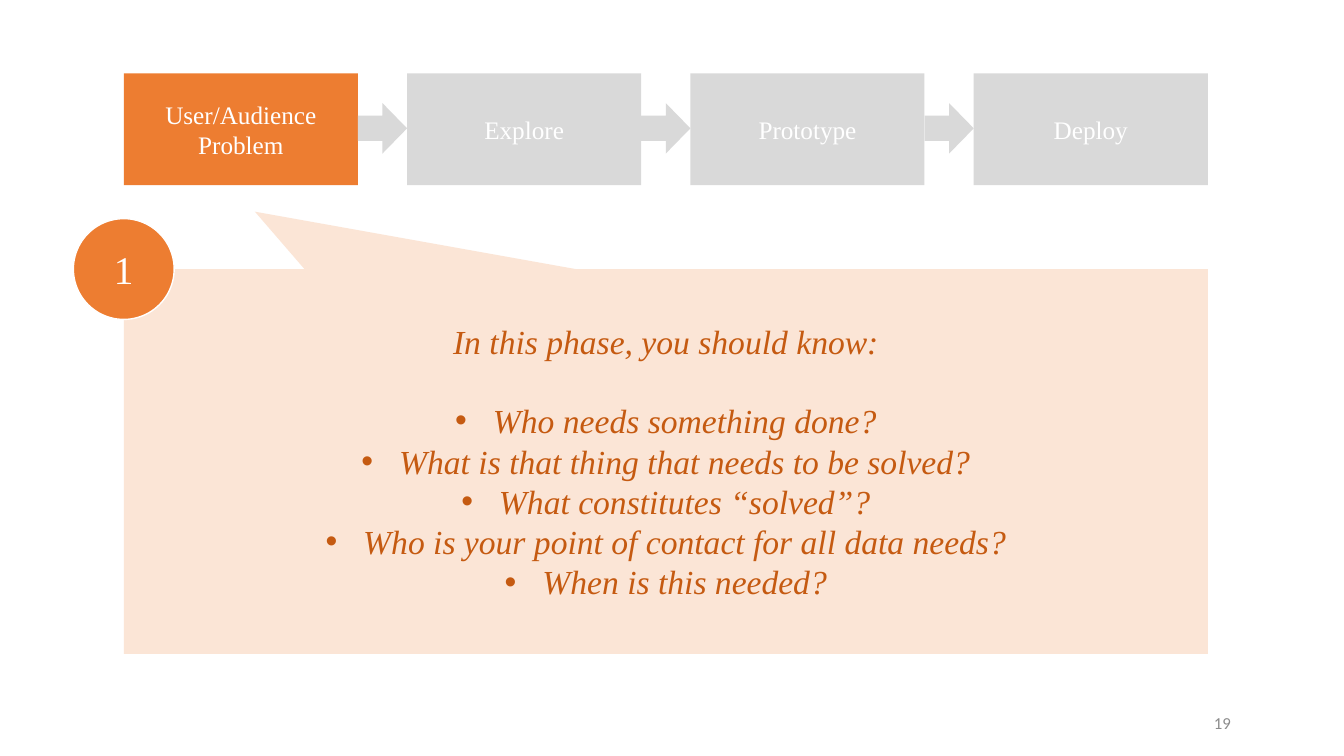
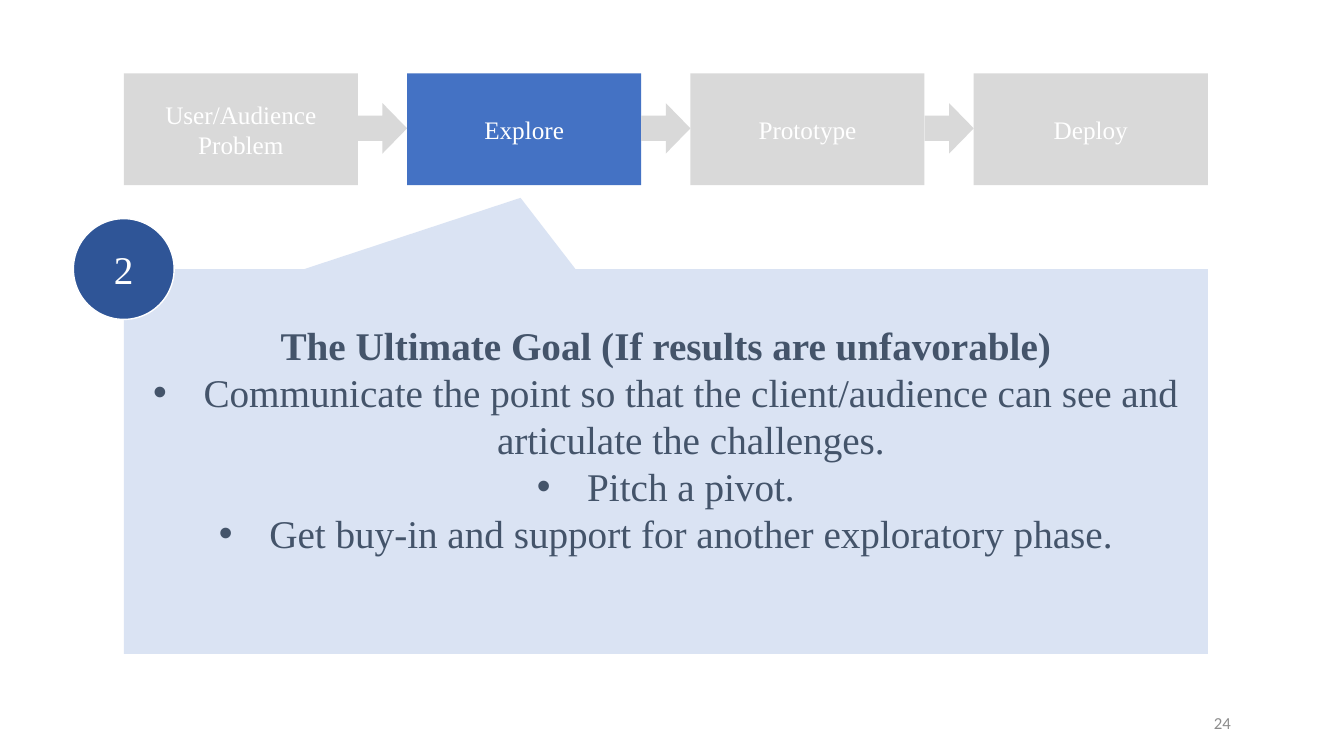
from pptx import Presentation
from pptx import util as u
from pptx.dml.color import RGBColor
from pptx.enum import shapes, text
from pptx.oxml.ns import qn
from lxml import etree

# Content
PHASES = [["User/Audience", "Problem"], ["Explore"], ["Prototype"], ["Deploy"]]
SLIDES = [
    {
        "phase": 0, "number": "19", "palette": "orange",
        "heading": "In this phase, you should know:",
        "points": [
            "Who needs something done?",
            "What is that thing that needs to be solved?",
            "What constitutes “solved”?",
            "Who is your point of contact for all data needs?",
            "When is this needed?",
        ],
        "pointer": (-0.379, -0.649),
        "heading_font": {"size": u.Pt(24), "italic": True},
        "point_font": {"size": u.Pt(24), "italic": True},
        "hanging": u.Cm(0.95), "gap": u.Pt(27.6), "bottom": u.Cm(0.13),
    },
    {
        "phase": 1, "number": "24", "palette": "blue",
        "heading": "The Ultimate Goal (If results are unfavorable)",
        "points": [
            "Communicate the point so that the client/audience can see and "
            "articulate the challenges.",
            "Pitch a pivot.",
            "Get buy-in and support for another exploratory phase.",
        ],
        "pointer": (-0.134, -0.685),
        "heading_font": {"size": u.Pt(28), "bold": True},
        "point_font": {"size": u.Pt(28)},
        "hanging": u.Cm(1.27), "gap": u.Pt(0), "bottom": u.Cm(1.27),
    },
]

# Theme
THEME = {
    "serif": "Times New Roman", "sans": "Calibri",
    "white": "FFFFFF", "idle": "D9D9D9", "muted": "8C8C8C",
    "phase_size": u.Pt(18), "badge_size": u.Pt(28), "number_size": u.Pt(12),
    "orange": {"active": "ED7D31", "badge": "ED7D31", "panel": "FBE5D6", "ink": "C55A11"},
    "blue": {"active": "4472C4", "badge": "2F5597", "panel": "DAE3F3", "ink": "44546A"},
}

# Layout
LEFT, PHASE_TOP = u.Cm(3.12), u.Cm(1.85)
PHASE_W, PHASE_H = u.Cm(5.9), u.Cm(2.82)
ARROW_W, ARROW_H, ARROW_TOP = u.Cm(1.24), u.Cm(1.27), u.Cm(2.6)
STEP = PHASE_W + ARROW_W
PANEL_TOP, PANEL_H = u.Cm(6.78), u.Cm(9.7)
PANEL_W = STEP * (len(PHASES) - 1) + PHASE_W
BADGE = u.Cm(2.54)


def add_block(slide, kind, box, fill, outline=None):
    block = slide.shapes.add_shape(kind, *box)
    block.shadow.inherit = False
    block.fill.solid()
    block.fill.fore_color.rgb = RGBColor.from_string(fill)
    if outline:
        block.line.color.rgb = RGBColor.from_string(outline)
        block.line.width = u.Pt(1)
    else:
        block.line.fill.background()
    return block


def write(holder, lines, color, align=text.PP_ALIGN.CENTER):
    """Fill a shape with (wording, font values) lines; return the paragraphs."""
    frame = holder.text_frame
    frame.word_wrap = True
    frame.vertical_anchor = text.MSO_ANCHOR.MIDDLE
    paragraphs = []
    for wording, values in lines:
        paragraph = frame.add_paragraph() if paragraphs else frame.paragraphs[0]
        paragraph.alignment = align
        run = paragraph.add_run()
        run.text = wording
        for name, value in {"name": THEME["serif"], **values}.items():
            setattr(run.font, name, value)
        run.font.color.rgb = RGBColor.from_string(color)
        paragraphs.append(paragraph)
    return paragraphs


def add_bullet(paragraph, hanging):
    props = paragraph._p.get_or_add_pPr()
    props.set("marL", str(hanging))
    props.set("indent", str(-hanging))
    etree.SubElement(props, qn("a:buFont")).set("typeface", "Arial")
    etree.SubElement(props, qn("a:buChar")).set("char", "•")


def add_page_number(slide, number):
    footer = slide.shapes.add_textbox(u.Cm(23.65), u.Cm(17.7), u.Cm(7.62), u.Cm(1.02))
    font = {"name": THEME["sans"], "size": THEME["number_size"]}
    write(footer, [(number, font)], THEME["muted"], text.PP_ALIGN.RIGHT)


def add_process(slide, active, active_fill):
    for i, lines in enumerate(PHASES):
        phase = add_block(slide, shapes.MSO_SHAPE.RECTANGLE,
                          (LEFT + i * STEP, PHASE_TOP, PHASE_W, PHASE_H),
                          active_fill if i == active else THEME["idle"])
        write(phase, [(line, {"size": THEME["phase_size"]}) for line in lines],
              THEME["white"])
    for i in range(len(PHASES) - 1):
        add_block(slide, shapes.MSO_SHAPE.RIGHT_ARROW,
                  (LEFT + i * STEP + PHASE_W, ARROW_TOP, ARROW_W, ARROW_H),
                  THEME["idle"])


def add_panel(slide, content, palette):
    panel = add_block(slide, shapes.MSO_SHAPE.RECTANGULAR_CALLOUT,
                      (LEFT, PANEL_TOP, PANEL_W, PANEL_H), palette["panel"])
    for i, offset in enumerate(content["pointer"]):
        panel.adjustments[i] = offset
    panel.text_frame.margin_bottom = content["bottom"]
    lines = [(content["heading"], content["heading_font"])]
    lines += [(point, content["point_font"]) for point in content["points"]]
    points = write(panel, lines, palette["ink"])[1:]
    points[0].space_before = content["gap"]
    for point in points:
        add_bullet(point, content["hanging"])


def add_badge(slide, label, fill):
    # Centred on the panel's top-left corner
    badge = add_block(slide, shapes.MSO_SHAPE.OVAL,
                      (LEFT - BADGE // 2, PANEL_TOP - BADGE // 2, BADGE, BADGE),
                      fill, THEME["white"])
    write(badge, [(label, {"size": THEME["badge_size"]})], THEME["white"])


def main():
    deck = Presentation()
    deck.slide_width, deck.slide_height = u.Cm(33.87), u.Cm(19.05)
    blank = deck.slide_layouts[6]
    for content in SLIDES:
        slide = deck.slides.add_slide(blank)
        palette = THEME[content["palette"]]
        add_page_number(slide, content["number"])
        add_process(slide, content["phase"], palette["active"])
        add_panel(slide, content, palette)
        add_badge(slide, str(content["phase"] + 1), palette["badge"])
    deck.save("out.pptx")


if __name__ == "__main__":
    main()
